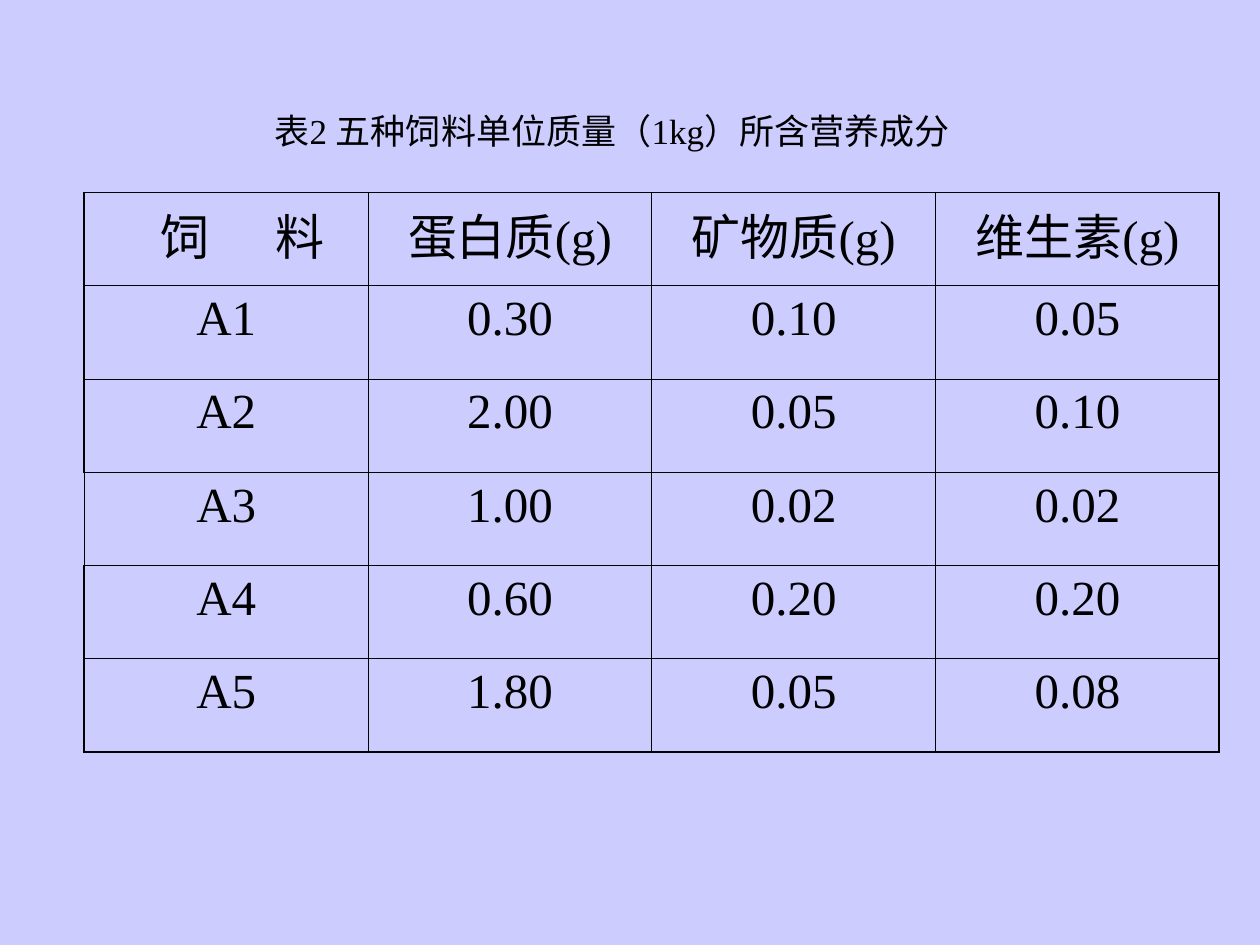
"""Build a slide with a table of the nutrients in five feeds."""
import pptx
import pptx.dml.color
import pptx.enum.text
import pptx.oxml
import pptx.oxml.ns
import pptx.util
from pptx.util import Cm

CAPTION = "表2 五种饲料单位质量（1kg）所含营养成分"
ROWS = [
    ("\t饲\t料", "蛋白质(g)", "矿物质(g)", "维生素(g)"),
    ("A1", "0.30", "0.10", "0.05"),
    ("A2", "2.00", "0.05", "0.10"),
    ("A3", "1.00", "0.02", "0.02"),
    ("A4", "0.60", "0.20", "0.20"),
    ("A5", "1.80", "0.05", "0.08"),
]
COLOURS = {"ground": "CCCCFF", "ink": "000000"}
FONT = "Times New Roman"
THIN, THICK = 0.45, 1.08
THIN_LEFT_ROW = 3
HEADER_TABS = (Cm(1.28), Cm(3.6))
COLUMN_WIDTH, ROW_HEIGHT = Cm(5.72), Cm(1.88)
ALIGN = pptx.enum.text.PP_ALIGN


def write(frame, text, size=28, align=ALIGN.CENTER, tabs=()):
    para = frame.paragraphs[0]
    para.alignment = align
    if tabs:
        stops = "".join(f'<a:tab pos="{int(stop)}" algn="l"/>' for stop in tabs)
        para._p.get_or_add_pPr().append(pptx.oxml.parse_xml(
            f'<a:tabLst {pptx.oxml.ns.nsdecls("a")}>{stops}</a:tabLst>'))
    span = para.add_run()
    span.text = text
    span.font.name = FONT
    span.font.size = pptx.util.Pt(size)
    span.font.color.rgb = pptx.dml.color.RGBColor.from_string(COLOURS["ink"])


def draw_borders(cell, **widths):
    properties = cell._tc.get_or_add_tcPr()
    for index, side in enumerate("LRTB"):
        properties.insert(index, pptx.oxml.parse_xml(
            f'<a:ln{side} {pptx.oxml.ns.nsdecls("a")} w="{int(pptx.util.Pt(widths[side]))}">'
            f'<a:solidFill><a:srgbClr val="{COLOURS["ink"]}"/></a:solidFill></a:ln{side}>'))


def add_caption(page):
    box = page.shapes.title
    box.left, box.top, box.width, box.height = Cm(5.28), Cm(2.08), Cm(14.4), Cm(1.96)
    frame = box.text_frame
    frame.word_wrap = True
    frame.auto_size = pptx.enum.text.MSO_AUTO_SIZE.SHAPE_TO_FIT_TEXT
    frame.vertical_anchor = pptx.enum.text.MSO_ANCHOR.TOP
    write(frame, CAPTION, size=20, align=ALIGN.LEFT)


def add_nutrients(page):
    last_row, last_column = len(ROWS) - 1, len(ROWS[0]) - 1
    table = page.shapes.add_table(
        len(ROWS), len(ROWS[0]), Cm(1.7), Cm(3.88),
        COLUMN_WIDTH * len(ROWS[0]), ROW_HEIGHT * len(ROWS)).table
    table.first_row = table.horz_banding = False
    for row, texts in enumerate(ROWS):
        for column, text in enumerate(texts):
            cell = table.cell(row, column)
            cell.fill.background()
            tabbed = "\t" in text
            write(cell.text_frame, text,
                  align=ALIGN.LEFT if tabbed else ALIGN.CENTER,
                  tabs=HEADER_TABS if tabbed else ())
            draw_borders(
                cell,
                L=THICK if column == 0 and row != THIN_LEFT_ROW else THIN,
                R=THICK if column == last_column else THIN,
                T=THICK if row == 0 else THIN,
                B=THICK if row == last_row else THIN)


def main():
    deck = pptx.Presentation()
    deck.slide_width, deck.slide_height = Cm(25.4), Cm(19.05)
    page = deck.slides.add_slide(deck.slide_layouts.get_by_name("Title Only"))
    ground = page.background.fill
    ground.solid()
    ground.fore_color.rgb = pptx.dml.color.RGBColor.from_string(COLOURS["ground"])
    add_caption(page)
    add_nutrients(page)
    deck.save("out.pptx")


if __name__ == "__main__":
    main()
